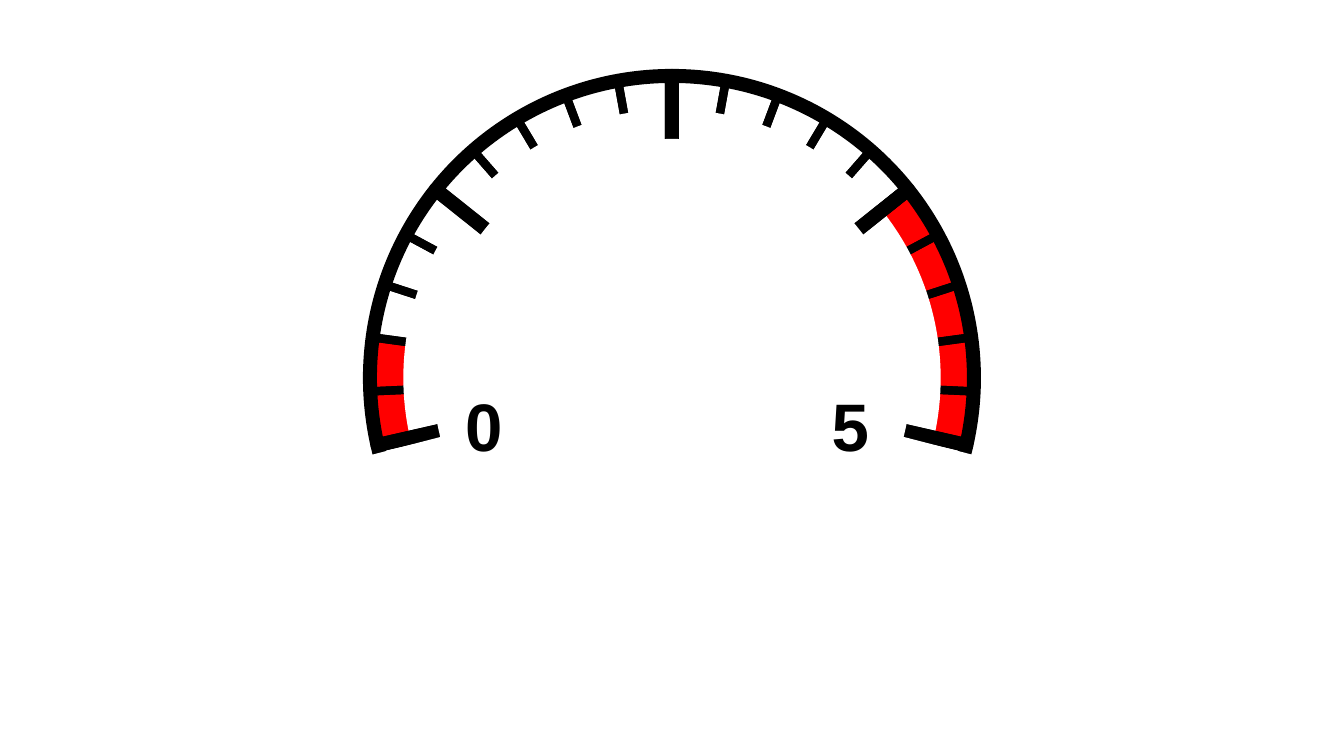
from dataclasses import dataclass

from lxml import etree
from pptx import Presentation
from pptx import util as u
from pptx.chart import data as chart_data
from pptx.dml import color
from pptx.enum import chart as chart_types
from pptx.enum import shapes, text
from pptx.oxml import ns


@dataclass(frozen=True)
class Theme:
    ink: color.RGBColor = color.RGBColor(0, 0, 0)
    paper: color.RGBColor = color.RGBColor(255, 255, 255)
    danger: color.RGBColor = color.RGBColor(255, 0, 0)
    label_font: str = "Arial"
    label_size: float = 48
    chart_font: str = "Noto Sans CJK SC"
    chart_size: float = 10
    mask_line: float = 1.5


@dataclass(frozen=True)
class Zone:
    first_tick: int
    last_tick: int


@dataclass(frozen=True)
class Scale:
    slices: int
    value: int
    line_width: float
    mask_diameter: float


@dataclass(frozen=True)
class Label:
    caption: str
    left: float
    width: float


THEME = Theme()
CENTER_X, CENTER_Y = 480, 270
TICKS = 35
ZONE_DIAMETER = 425.5
CHART_WIDTH, CHART_HEIGHT = 677.5, 451.5
DIAL_DIAMETER = 431.5
COVER_DIAMETER = 450
COVER_START, COVER_END = 14.52, 165.46
LABEL_TOP, LABEL_HEIGHT = 270.7, 65.5

ZONES = [Zone(25, 27), Zone(5, 10)]
SCALES = [Scale(TICKS, 3, 6, 382.3), Scale(7, 14, 10, 340)]
LABELS = [Label("0", 322.6, 46), Label("5", 564.5, 85.7)]


def centered(width: float, height: float) -> tuple:
    """Left, top, width and height of a box centred on the dial."""
    return (u.Pt(CENTER_X - width / 2), u.Pt(CENTER_Y - height / 2),
            u.Pt(width), u.Pt(height))


def angle_adjustment(degrees: float) -> float:
    """Preset angles count 60000 per degree; adjustments divide by 100000."""
    return degrees % 360 * 0.6


def add_round(page, kind, diameter: float, fill: color.RGBColor):
    shape = page.shapes.add_shape(kind, *centered(diameter, diameter))
    shape.shadow.inherit = False
    shape.fill.solid()
    shape.fill.fore_color.rgb = fill
    return shape


def add_zone(page, zone: Zone) -> None:
    arc = add_round(page, shapes.MSO_SHAPE.BLOCK_ARC, ZONE_DIAMETER, THEME.danger)
    arc.line.fill.background()
    for index, tick in enumerate((zone.first_tick, zone.last_tick)):
        arc.adjustments[index] = angle_adjustment(tick * 360 / TICKS - 90)
    arc.adjustments[2] = 0.25


def add_mask(page, kind, diameter: float):
    mask = add_round(page, kind, diameter, THEME.paper)
    mask.line.color.rgb = THEME.paper
    mask.line.width = u.Pt(THEME.mask_line)
    return mask


def fix_plot_size(chart) -> None:
    """Centre the pie in its chart at the diameter of the dial."""
    plot_area = chart.element.find(".//" + ns.qn("c:plotArea"))
    for old in plot_area.findall(ns.qn("c:layout")):
        plot_area.remove(old)
    layout = etree.Element(ns.qn("c:layout"))
    plot_area.insert(0, layout)
    manual = etree.SubElement(layout, ns.qn("c:manualLayout"))
    width, height = DIAL_DIAMETER / CHART_WIDTH, DIAL_DIAMETER / CHART_HEIGHT
    settings = {"layoutTarget": "inner", "xMode": "edge", "yMode": "edge",
                "x": (1 - width) / 2, "y": (1 - height) / 2,
                "w": width, "h": height}
    for name, value in settings.items():
        etree.SubElement(manual, ns.qn("c:" + name)).set("val", str(value))


def outline(part, width: float) -> None:
    part.format.fill.background()
    part.format.line.color.rgb = THEME.ink
    part.format.line.width = u.Pt(width)


def add_scale(page, scale: Scale) -> None:
    """Draw the ticks as an unfilled pie and hide its middle."""
    values = chart_data.CategoryChartData()
    values.categories = [str(number + 1) for number in range(scale.slices)]
    values.add_series("Series 1", [scale.value] * scale.slices)
    chart = page.shapes.add_chart(chart_types.XL_CHART_TYPE.PIE,
                                  *centered(CHART_WIDTH, CHART_HEIGHT), values).chart
    chart.has_legend = False
    chart.has_title = False
    chart.font.name = THEME.chart_font
    chart.font.size = u.Pt(THEME.chart_size)
    chart.font.color.rgb = THEME.ink
    fix_plot_size(chart)
    plot = chart.plots[0]
    plot.vary_by_categories = False
    series = plot.series[0]
    outline(series, scale.line_width)
    for index in range(scale.slices):
        outline(series.points[index], scale.line_width)
    add_mask(page, shapes.MSO_SHAPE.OVAL, scale.mask_diameter)


def add_label(page, label: Label) -> None:
    box = page.shapes.add_textbox(u.Pt(label.left), u.Pt(LABEL_TOP),
                                  u.Pt(label.width), u.Pt(LABEL_HEIGHT))
    frame = box.text_frame
    frame.word_wrap = True
    frame.auto_size = text.MSO_AUTO_SIZE.SHAPE_TO_FIT_TEXT
    frame.text = label.caption
    para = frame.paragraphs[0]
    para.alignment = text.PP_ALIGN.CENTER
    font = para.runs[0].font
    font.name = THEME.label_font
    font.size = u.Pt(THEME.label_size)
    font.bold = True
    font.color.rgb = THEME.ink


def main() -> None:
    deck = Presentation()
    deck.slide_width, deck.slide_height = u.Pt(960), u.Pt(540)
    page = deck.slides.add_slide(deck.slide_layouts[6])
    for zone in ZONES:
        add_zone(page, zone)
    for scale in SCALES:
        add_scale(page, scale)
    cover = add_mask(page, shapes.MSO_SHAPE.PIE, COVER_DIAMETER)
    cover.adjustments[0] = angle_adjustment(COVER_START)
    cover.adjustments[1] = angle_adjustment(COVER_END)
    for label in LABELS:
        add_label(page, label)
    deck.save("out.pptx")


if __name__ == "__main__":
    main()
